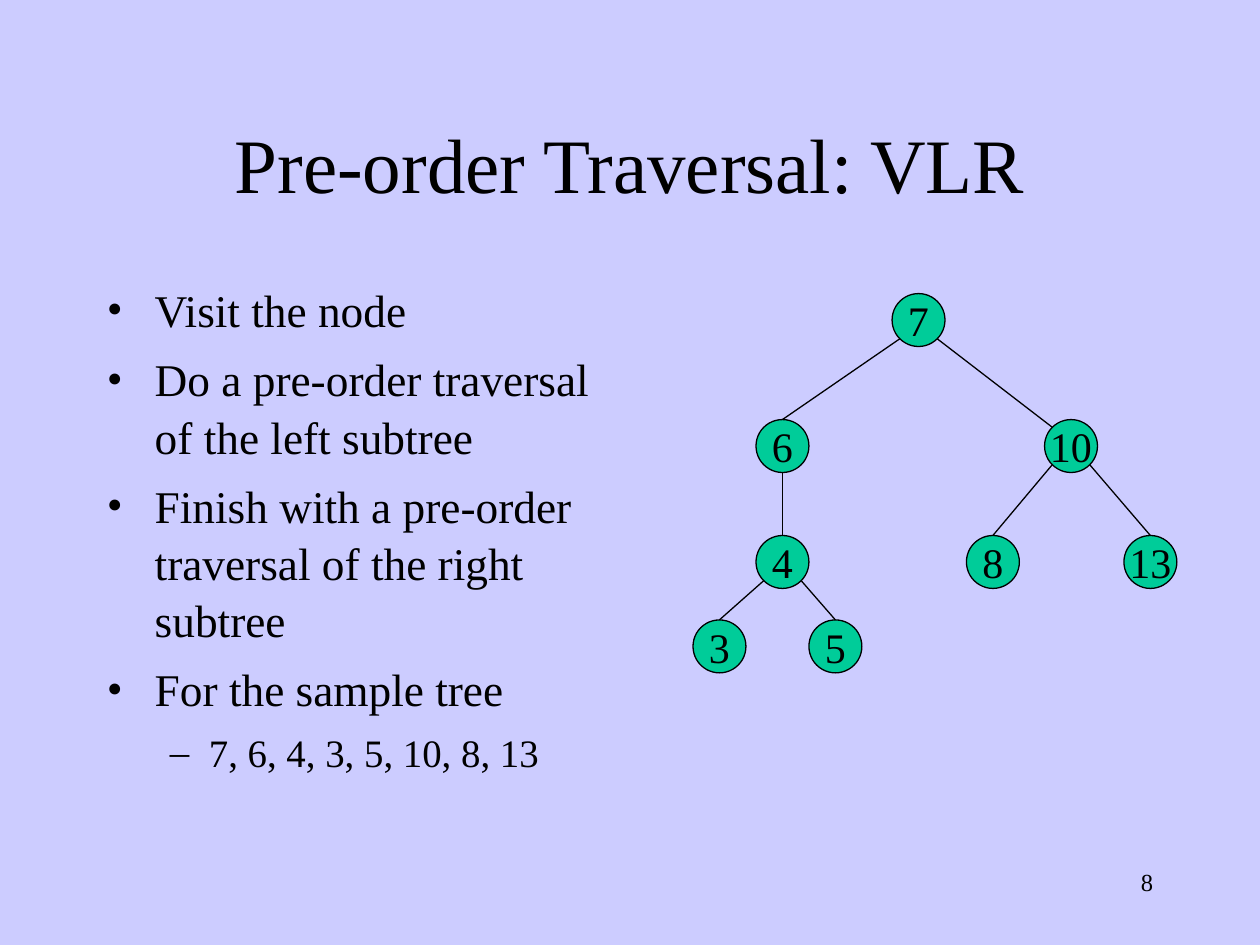
from math import sqrt

from lxml import etree
from pptx import Presentation
from pptx.dml.color import RGBColor
from pptx.enum import shapes, text
from pptx.oxml import ns
from pptx.util import Inches, Pt

BACKGROUND = RGBColor(0xCC, 0xCC, 0xFF)
NODE_FILL = RGBColor(0x00, 0xCC, 0x99)
BLACK = RGBColor(0, 0, 0)
FONT = "Times New Roman"

TITLE = "Pre-order Traversal: VLR"
PAGE_NUMBER = "8"
STEPS = [
    ("Visit the node", 0),
    ("Do a pre-order traversal of the left subtree", 0),
    ("Finish with a pre-order traversal of the right subtree", 0),
    ("For the sample tree", 0),
    ("7, 6, 4, 3, 5, 10, 8, 13", 1),
]
LEVELS = [
    dict(size=25.9, before=7, margin=0.38, hanging=0.38, bullet="•"),
    dict(size=22.2, before=6, margin=0.81, hanging=0.31, bullet="–"),
]

DIAMETER = 0.42
RADIUS = DIAMETER / 2
DIAGONAL = RADIUS / sqrt(2)
NODES = {
    "7": (7.08, 2.33),
    "6": (6, 3.33),
    "3": (5.5, 4.92),
    "5": (6.42, 4.92),
    "4": (6, 4.25),
    "10": (8.29, 3.33),
    "8": (7.67, 4.25),
    "13": (8.92, 4.25),
}
ANCHORS = {
    "top": (0, -RADIUS),
    "top left": (-DIAGONAL, -DIAGONAL),
    "bottom": (0, RADIUS),
    "bottom left": (-DIAGONAL, DIAGONAL),
    "bottom right": (DIAGONAL, DIAGONAL),
}
EDGES = [
    ("7", "bottom left", "6", "top"),
    ("7", "bottom right", "10", "top left"),
    ("6", "bottom", "4", "top"),
    ("4", "bottom left", "3", "top"),
    ("4", "bottom right", "5", "top"),
    ("10", "bottom left", "8", "top"),
    ("10", "bottom right", "13", "top"),
]


def write(paragraph, content, size, align=text.PP_ALIGN.LEFT, before=0, spacing=None,
          margin=0, hanging=0, bullet=None):
    paragraph.alignment = align
    paragraph.space_before = Pt(before)
    paragraph.line_spacing = spacing
    run = paragraph.add_run()
    run.text = content
    run.font.size = Pt(size)
    run.font.name = FONT
    run.font.color.rgb = BLACK
    if bullet:
        properties = paragraph._p.get_or_add_pPr()
        properties.set("marL", str(Inches(margin)))
        properties.set("indent", str(-Inches(hanging)))
        etree.SubElement(properties, ns.qn("a:buFont"), typeface=FONT)
        etree.SubElement(properties, ns.qn("a:buChar"), char=bullet)


def add_text_box(slide, left, top, width, height):
    box = slide.shapes.add_textbox(Inches(left), Inches(top), Inches(width), Inches(height))
    box.text_frame.word_wrap = True
    return box.text_frame


def add_title(slide):
    title = slide.shapes.title
    title.left, title.top = Inches(0.75), Inches(0.67)
    title.width, title.height = Inches(8.5), Inches(1.25)
    title.text_frame.vertical_anchor = text.MSO_ANCHOR.MIDDLE
    write(title.text_frame.paragraphs[0], TITLE, 44, align=text.PP_ALIGN.CENTER)


def add_steps(slide):
    frame = add_text_box(slide, 0.75, 2.17, 4.17, 4.5)
    for index, (content, level) in enumerate(STEPS):
        paragraph = frame.add_paragraph() if index else frame.paragraphs[0]
        paragraph.level = level
        write(paragraph, content, spacing=1.05, **LEVELS[level])


def add_node(slide, label, left, top):
    node = slide.shapes.add_shape(shapes.MSO_SHAPE.OVAL, Inches(left), Inches(top),
                                  Inches(DIAMETER), Inches(DIAMETER))
    node.shadow.inherit = False
    node.fill.solid()
    node.fill.fore_color.rgb = NODE_FILL
    node.line.color.rgb = BLACK
    node.line.width = Pt(0.75)
    node.text_frame.word_wrap = False
    node.text_frame.vertical_anchor = text.MSO_ANCHOR.MIDDLE
    write(node.text_frame.paragraphs[0], label, 24, align=text.PP_ALIGN.CENTER)


def anchor_point(label, anchor):
    return [Inches(round(corner + RADIUS + offset, 2))
            for corner, offset in zip(NODES[label], ANCHORS[anchor])]


def add_edge(slide, parent, start, child, end):
    edge = slide.shapes.add_connector(shapes.MSO_CONNECTOR.STRAIGHT,
                                      *anchor_point(parent, start), *anchor_point(child, end))
    edge.line.color.rgb = BLACK
    edge.line.width = Pt(0.75)
    etree.SubElement(edge._element.spPr, ns.qn("a:effectLst"))


def main():
    presentation = Presentation()
    presentation.slide_width, presentation.slide_height = Inches(10), Inches(7.5)
    slide = presentation.slides.add_slide(presentation.slide_layouts[5])
    slide.background.fill.solid()
    slide.background.fill.fore_color.rgb = BACKGROUND

    number_frame = add_text_box(slide, 7.17, 6.83, 2.08, 0.5)
    write(number_frame.paragraphs[0], PAGE_NUMBER, 14, align=text.PP_ALIGN.RIGHT)
    add_title(slide)
    add_steps(slide)
    for label, (left, top) in NODES.items():
        add_node(slide, label, left, top)
    for edge in EDGES:
        add_edge(slide, *edge)
    presentation.save("out.pptx")


if __name__ == "__main__":
    main()
